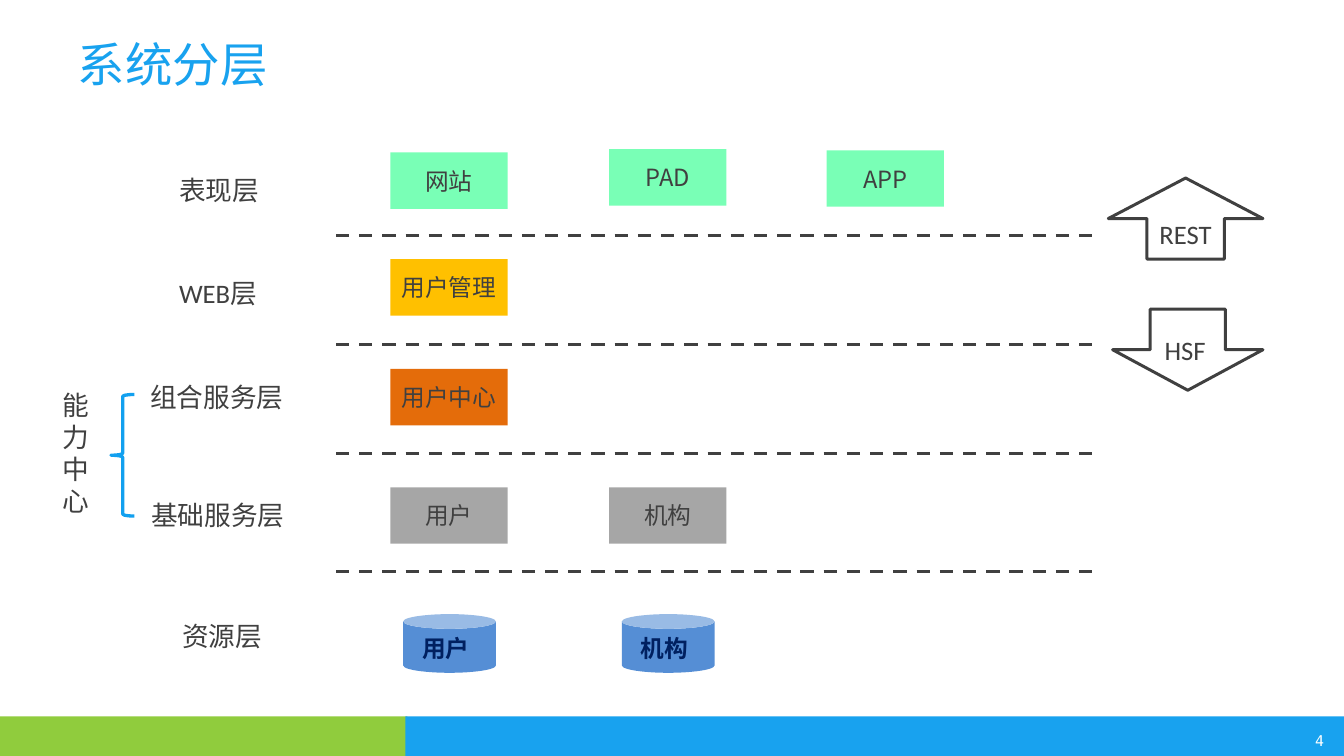
from dataclasses import dataclass
from typing import Optional

from lxml import etree
from pptx import Presentation
from pptx.dml.color import RGBColor
from pptx.enum.dml import MSO_LINE
from pptx.enum.shapes import MSO_CONNECTOR, MSO_SHAPE
from pptx.enum.text import MSO_ANCHOR, MSO_AUTO_SIZE, PP_ALIGN
from pptx.oxml.ns import qn
from pptx.shapes.base import BaseShape
from pptx.slide import Slide
from pptx.text.text import TextFrame
from pptx.util import Pt

RECT = MSO_SHAPE.RECTANGLE
CAN = MSO_SHAPE.CAN
ARROW = MSO_SHAPE.UP_ARROW
BRACE = MSO_SHAPE.LEFT_BRACE
LINE = MSO_CONNECTOR.STRAIGHT
DASH = MSO_LINE.DASH
LEFT, MID, RIGHT = PP_ALIGN.LEFT, PP_ALIGN.CENTER, PP_ALIGN.RIGHT
CENTER = MSO_ANCHOR.MIDDLE
FIXED = MSO_AUTO_SIZE.NONE
PX = 9144


@dataclass(frozen=True)
class Theme:
    ink: str = "404040"
    blue: str = "18A2EF"
    brace: str = "12A0EF"
    lime: str = "90CC3D"
    mint: str = "79FFB6"
    gold: str = "FFC000"
    rust: str = "E46C0A"
    gray: str = "A6A6A6"
    store: str = "558ED5"
    navy: str = "002060"
    white: str = "FFFFFF"
    head: int = 32
    label: int = 18
    tile: int = 16
    page: int = 10
    serif: str = "Times New Roman"
    sans: str = "Calibri"
    mono: str = "DejaVu Sans Mono"
    asian: str = "Noto Sans CJK SC"


THEME = Theme()


@dataclass(frozen=True)
class Area:
    x: int
    y: int
    w: int
    h: int

    def emu(self) -> tuple[int, int, int, int]:
        return self.x * PX, self.y * PX, self.w * PX, self.h * PX


@dataclass(frozen=True)
class Style:
    size: int = THEME.label
    color: str = THEME.ink
    font: str = THEME.sans
    bold: bool = False
    align: PP_ALIGN = LEFT


@dataclass(frozen=True)
class Label:
    text: str
    area: Area


@dataclass(frozen=True)
class Tile:
    text: str
    col: int
    top: int
    fill: str


@dataclass(frozen=True)
class Arrow:
    area: Area
    turn: int


HEAD = Style(THEME.head, THEME.blue, THEME.serif)
PAGE = Style(THEME.page, THEME.white, THEME.mono, align=RIGHT)
BLOCK = Style(THEME.tile, font=THEME.asian, align=MID)
STORE = Style(THEME.tile, THEME.navy, bold=True)

COLS = (366, 571, 775)
RULES = (221, 323, 425, 536)
LABELS = (
    Label("表现层", Area(158, 158, 102, 40)),
    Label("WEB层", Area(158, 255, 102, 40)),
    Label("组合服务层", Area(131, 352, 156, 40)),
    Label("基础服务层", Area(132, 463, 156, 40)),
    Label("资源层", Area(161, 576, 95, 40)),
    Label("REST", Area(1077, 199, 71, 40)),
    Label("HSF", Area(1082, 308, 68, 40)),
    Label("能力中心", Area(49, 360, 41, 131)),
)
TILES = (
    Tile("用户", 0, 457, THEME.gray),
    Tile("机构", 1, 457, THEME.gray),
    Tile("用户中心", 0, 346, THEME.rust),
    Tile("网站", 0, 143, THEME.mint),
    Tile("PAD", 1, 140, THEME.mint),
    Tile("APP", 2, 141, THEME.mint),
    Tile("用户管理", 0, 243, THEME.gold),
)
STORES = ("用户", "机构")
ARROWS = (
    Arrow(Area(1039, 167, 145, 76), 0),
    Arrow(Area(1043, 290, 141, 76), 180),
)


def tint(code: str) -> RGBColor:
    return RGBColor.from_string(code)


def write(frame: TextFrame, text: str, style: Style) -> None:
    frame.word_wrap = True
    para = frame.paragraphs[0]
    para.alignment = style.align
    run = para.add_run()
    run.text = text
    run.font.size = Pt(style.size)
    run.font.bold = style.bold
    run.font.color.rgb = tint(style.color)
    run.font.name = style.font
    asian = etree.SubElement(run.font._element, qn("a:ea"))
    asian.set("typeface", THEME.asian)


def note(slide: Slide, text: str, area: Area, style: Style) -> None:
    write(slide.shapes.add_textbox(*area.emu()).text_frame, text, style)


def draw(slide: Slide, kind: MSO_SHAPE, area: Area, fill: Optional[str],
         line: Optional[str] = None, width: float = 2) -> BaseShape:
    shape = slide.shapes.add_shape(kind, *area.emu())
    shape.shadow.inherit = False
    if fill:
        shape.fill.solid()
        shape.fill.fore_color.rgb = tint(fill)
    else:
        shape.fill.background()
    if line:
        shape.line.color.rgb = tint(line)
        shape.line.width = Pt(width)
    else:
        shape.line.fill.background()
    return shape


def rule(slide: Slide, y: int) -> None:
    line = slide.shapes.add_connector(LINE, 315 * PX, y * PX, 1024 * PX, y * PX)
    line.line.color.rgb = tint(THEME.ink)
    line.line.width = Pt(2.25)
    line.line.dash_style = DASH
    etree.SubElement(line._element.spPr, qn("a:effectLst"))


def title(slide: Slide, text: str, area: Area) -> None:
    shape = slide.shapes.title
    shape.left, shape.top, shape.width, shape.height = area.emu()
    shape.text_frame.auto_size = FIXED
    shape.text_frame.vertical_anchor = CENTER
    write(shape.text_frame, text, HEAD)


def main() -> None:
    deck = Presentation()
    deck.slide_width, deck.slide_height = 1260 * PX, 709 * PX
    slide = deck.slides.add_slide(deck.slide_layouts[5])
    draw(slide, RECT, Area(0, 672, 382, 37), THEME.lime)
    draw(slide, RECT, Area(380, 672, 880, 37), THEME.blue)
    note(slide, "4", Area(1107, 681, 144, 27), PAGE)
    title(slide, "系统分层", Area(63, 32, 1087, 56))
    for y in RULES:
        rule(slide, y)
    for x, text in zip(COLS, STORES):
        draw(slide, CAN, Area(x + 12, 576, 87, 55), THEME.store)
        note(slide, text, Area(x + 20, 590, 71, 37), STORE)
    for tile in TILES:
        area = Area(COLS[tile.col], tile.top, 110, 53)
        shape = draw(slide, RECT, area, tile.fill)
        frame = shape.text_frame
        frame.vertical_anchor = CENTER
        frame.margin_left = frame.margin_right = 8 * PX
        frame.margin_top = frame.margin_bottom = 4 * PX
        write(frame, tile.text, BLOCK)
    for arrow in ARROWS:
        shape = draw(slide, ARROW, arrow.area, THEME.white, THEME.ink)
        shape.rotation = arrow.turn
    draw(slide, BRACE, Area(104, 370, 22, 114), None, THEME.brace, 2.25)
    for label in LABELS:
        note(slide, label.text, label.area, Style())
    deck.save("out.pptx")


if __name__ == "__main__":
    main()
